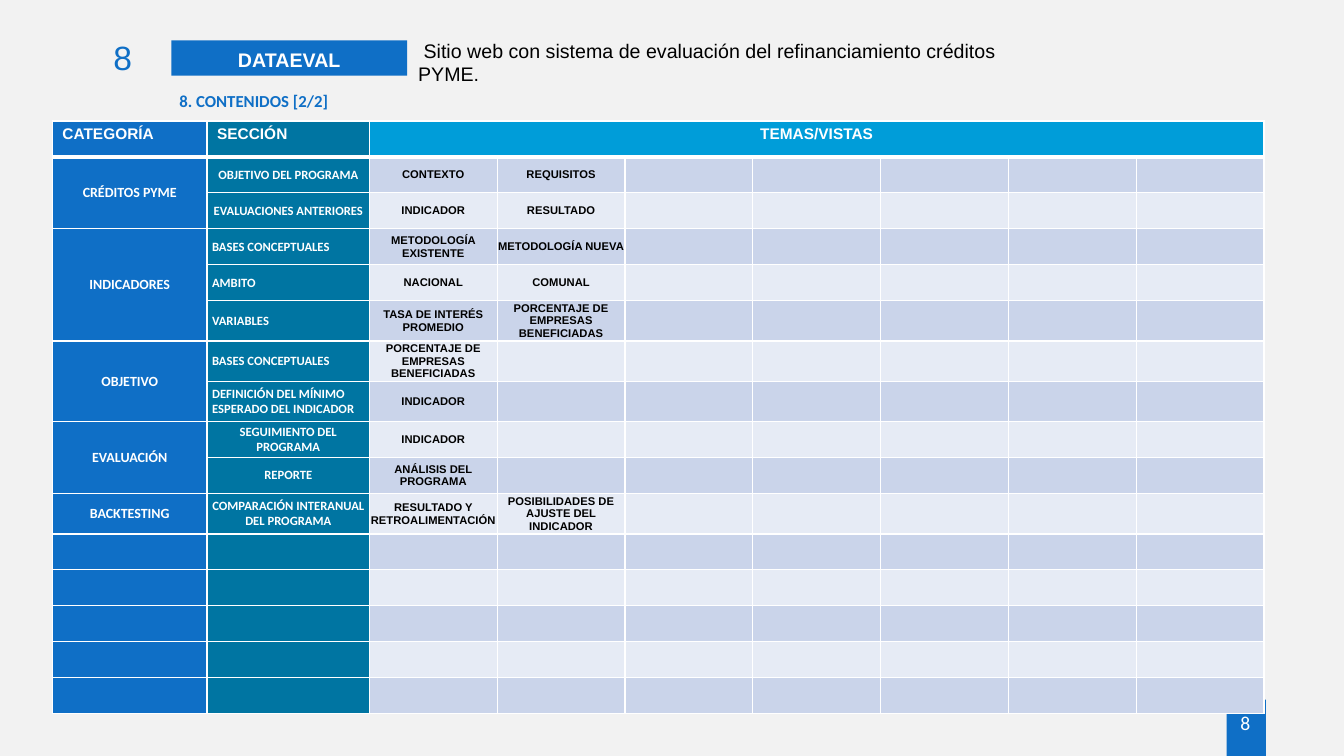
from lxml import etree
from pptx import Presentation
from pptx.dml.color import RGBColor
from pptx.enum import shapes, text
from pptx.oxml.ns import qn
from pptx.util import Pt

BLUE = RGBColor(0x0F, 0x6F, 0xC6)
TEAL = RGBColor(0x00, 0x75, 0xA2)
SKY = RGBColor(0x00, 0x9D, 0xD9)
BANDS = RGBColor(0xCA, 0xD4, 0xEA), RGBColor(0xE6, 0xEB, 0xF5)
PAPER = RGBColor(0xF2, 0xF2, 0xF2)
WHITE = RGBColor(255, 255, 255)
BLACK = RGBColor(0, 0, 0)
LEFT, CENTER, RIGHT = (text.PP_ALIGN.LEFT, text.PP_ALIGN.CENTER, text.PP_ALIGN.RIGHT)
TOP, MIDDLE = text.MSO_ANCHOR.TOP, text.MSO_ANCHOR.MIDDLE

# Content: category -> (section, section alignment, topics)
HEADERS = [("CATEGORÍA", BLUE, LEFT), ("SECCIÓN", TEAL, LEFT),
           ("TEMAS/VISTAS", SKY, CENTER)]
CATEGORIES = {
    "CRÉDITOS PYME": [
        ("OBJETIVO DEL PROGRAMA", CENTER, ["CONTEXTO", "REQUISITOS"]),
        ("EVALUACIONES ANTERIORES", CENTER, ["INDICADOR", "RESULTADO"])],
    "INDICADORES": [
        ("BASES CONCEPTUALES", LEFT, ["METODOLOGÍA EXISTENTE", "METODOLOGÍA NUEVA"]),
        ("AMBITO", LEFT, ["NACIONAL", "COMUNAL"]),
        ("VARIABLES", LEFT, ["TASA DE INTERÉS PROMEDIO",
                             "PORCENTAJE DE EMPRESAS BENEFICIADAS"])],
    "OBJETIVO": [
        ("BASES CONCEPTUALES", LEFT, ["PORCENTAJE DE EMPRESAS BENEFICIADAS"]),
        ("DEFINICIÓN DEL MÍNIMO ESPERADO DEL INDICADOR", LEFT, ["INDICADOR"])],
    "EVALUACIÓN": [
        ("SEGUIMIENTO DEL PROGRAMA", CENTER, ["INDICADOR"]),
        ("REPORTE", CENTER, ["ANÁLISIS DEL PROGRAMA"])],
    "BACKTESTING": [
        ("COMPARACIÓN INTERANUAL DEL PROGRAMA", CENTER,
         ["RESULTADO Y RETROALIMENTACIÓN", "POSIBILIDADES DE AJUSTE DEL INDICADOR"])],
}
ROWS, ROW_HEIGHT = 16, 25.7
WIDTHS = [110.5, 116] + [91.3] * 7

# Text boxes: wording, place, font, size, colour, bold, alignment, anchor
LABELS = [
    (" Sitio web con sistema de evaluación del refinanciamiento créditos PYME.",
     (291.6, 28.8, 434.2, 31), "Arial", 14, BLACK, False, LEFT, MIDDLE),
    ("8", (37.4, 23, 64.1, 36), "Arial", 24, BLUE, False, RIGHT, TOP),
    ("8. CONTENIDOS [2/2]", (121, 61.2, 357.1, 21.6), "Calibri", 12, BLUE, True, LEFT, TOP),
]
PAGE_NUMBER = ("8", (867.6, 504, 43.9, 23.8), "Calibri", 14, WHITE, False, CENTER, TOP)

deck = Presentation()
deck.slide_width, deck.slide_height = Pt(960), Pt(540)
page = deck.slides.add_slide(deck.slide_layouts[6])
page.background.fill.solid()
page.background.fill.fore_color.rgb = PAPER


def write(frame, words, font, size, color, bold, align):
    para = frame.paragraphs[0]
    para.alignment = align
    span = para.add_run()
    span.text = words
    for name, value in dict(name=font, size=Pt(size), bold=bold).items():
        setattr(span.font, name, value)
    span.font.color.rgb = color
    return para


def add_block(place):
    block = page.shapes.add_shape(shapes.MSO_SHAPE.RECTANGLE, *map(Pt, place))
    block.shadow.inherit = False
    block.fill.solid()
    block.fill.fore_color.rgb = BLUE
    block.line.fill.background()
    return block


def add_label(words, place, font, size, color, bold, align, anchor):
    frame = page.shapes.add_textbox(*map(Pt, place)).text_frame
    frame.word_wrap = True
    frame.vertical_anchor = anchor
    write(frame, words, font, size, color, bold, align)


def set_borders(cell, row):
    props = cell._tc.get_or_add_tcPr()
    points = dict(lnL=1, lnR=1, lnT=3 if row == 1 else 1, lnB=3 if row == 0 else 1)
    for tag, width in points.items():
        line = etree.SubElement(props, qn("a:" + tag), w=str(Pt(width)))
        fill = etree.SubElement(line, qn("a:solidFill"))
        etree.SubElement(fill, qn("a:srgbClr"), val=str(WHITE))


def fill_cell(row, column, words, font, size, color, align, inset=(0, 0), anchor=MIDDLE):
    cell = table.cell(row, column)
    across, down = map(Pt, inset)
    for name, value in dict(margin_left=across, margin_right=across, margin_top=down,
                            margin_bottom=down, vertical_anchor=anchor).items():
        setattr(cell, name, value)
    write(cell.text_frame, words, font, size, color, True, align)


# Page number and heading
add_block((876.2, 499.7, 28.1, 40.3))
add_label(*PAGE_NUMBER)
banner = add_block((122.4, 28.8, 168.5, 25.2))
banner.text_frame.vertical_anchor = TOP
write(banner.text_frame, "DATAEVAL", "Arial", 14, WHITE, True, CENTER).line_spacing = 1.1
for label in LABELS:
    add_label(*label)

# Table grid: borders, colours and no inner margins
table = page.shapes.add_table(ROWS, len(WIDTHS), Pt(37.4), Pt(86.4),
                              Pt(sum(WIDTHS)), Pt(ROWS * ROW_HEIGHT)).table
for column, width in zip(table.columns, WIDTHS):
    column.width = Pt(width)
for row in range(ROWS):
    table.rows[row].height = Pt(ROW_HEIGHT)
    for column in range(len(WIDTHS)):
        cell = table.cell(row, column)
        cell.margin_left = cell.margin_right = cell.margin_top = cell.margin_bottom = 0
        set_borders(cell, row)
        rest = SKY if row == 0 else BANDS[(row - 1) % 2]
        cell.fill.solid()
        cell.fill.fore_color.rgb = (BLUE, TEAL)[column] if column < 2 else rest

# Header row
table.cell(0, 2).merge(table.cell(0, len(WIDTHS) - 1))
for column, (words, color, align) in enumerate(HEADERS):
    fill_cell(0, column, words, "Arial", 11, WHITE, align, (7.2, 3.6), TOP)

# Categories, sections and topics
row = 1
for category, sections in CATEGORIES.items():
    if len(sections) > 1:
        table.cell(row, 0).merge(table.cell(row + len(sections) - 1, 0))
    fill_cell(row, 0, category, "Calibri", 10, WHITE, CENTER)
    for section, align, topics in sections:
        inset = (3.6, 3.6) if align == LEFT else (0, 0)
        fill_cell(row, 1, section, "Calibri", 9, WHITE, align, inset)
        for column, topic in enumerate(topics, 2):
            fill_cell(row, column, topic, "Arial", 8, BLACK, CENTER)
        row += 1

deck.save("out.pptx")
